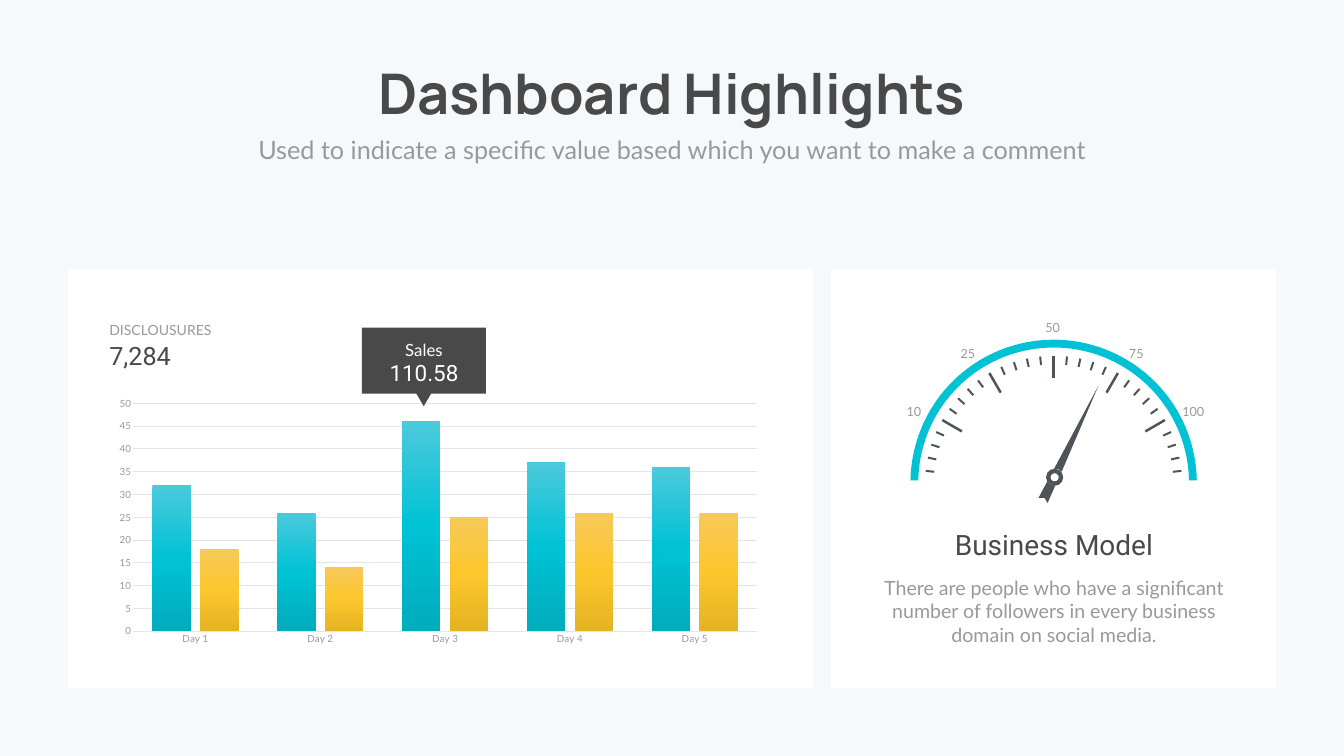
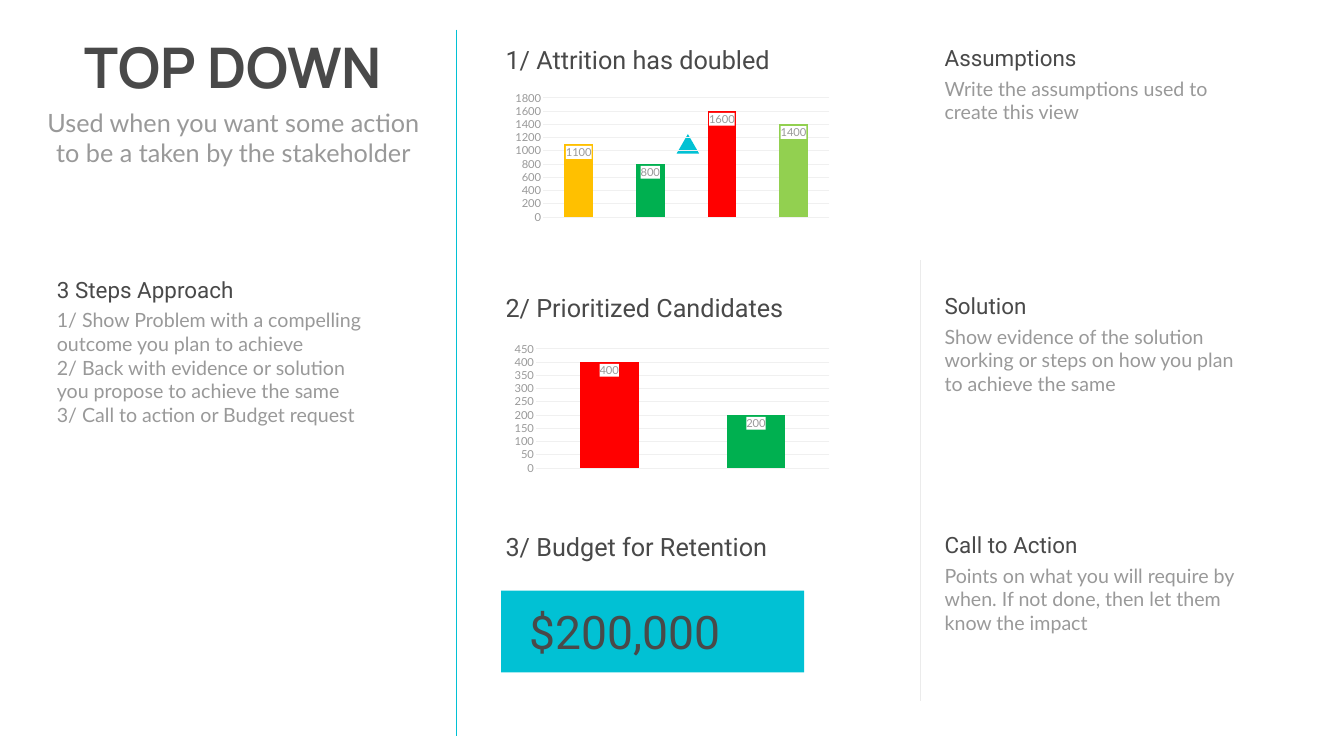
import math
from dataclasses import dataclass
from typing import Optional

import lxml.etree
import pptx
import pptx.chart.data
import pptx.dml.color
import pptx.enum.chart
import pptx.enum.shapes
import pptx.enum.text
import pptx.oxml
import pptx.oxml.ns
import pptx.util

EMU_PER_PX = 9144  # 100 px to the inch
COLORS = {
    "page": "F5F9FB", "white": "FFFFFF", "dark": "494949", "grey": "999999",
    "cyan": "01C1D4", "gauge": "4E5558", "divider": "EBEBEB",
    "axis": "E4E4E4", "grid": "F0F0F0",
    "amber": "FFC000", "green": "00B050", "red": "FF0000", "lime": "92D050",
}
CYAN_GRADIENT = ("4BCADC", "00C2D5", "00ACBD")
YELLOW_GRADIENT = ("F7C959", "FCC72D", "E5B323")

Box = tuple[int, int, int, int]
Point = tuple[float, float]
CENTER = pptx.enum.text.PP_ALIGN.CENTER
LEFT = pptx.enum.text.PP_ALIGN.LEFT
SHAPES = pptx.enum.shapes.MSO_SHAPE
CHARTS = pptx.enum.chart.XL_CHART_TYPE
qn = pptx.oxml.ns.qn


@dataclass(frozen=True)
class Style:
    font: str
    size: int
    color: str
    align: int = LEFT
    bold: bool = False
    spacing: Optional[float] = None
    wrap: bool = True


@dataclass(frozen=True)
class ColumnChart:
    box: Box
    plot: Box
    kind: int
    categories: list[str]
    series: dict[str, list[int]]
    size: int
    grid: str
    gap: int
    overlap: int
    maximum: int
    unit: int


TITLE = Style("Manrope", 80, "dark", CENTER, bold=True, wrap=False)
SUBTITLE = Style("Lato", 36, "grey", CENTER)
HEADING = Style("Roboto", 32, "dark")
BODY = Style("Lato", 28, "grey")
STEP = Style("Roboto", 36, "dark")
LABEL = Style("Lato", 20, "grey", spacing=40.8)
CALLOUT_NAME = Style("Lato", 24, "white", CENTER, spacing=40.8)
CALLOUT_VALUE = Style("Roboto", 32, "white", CENTER)
GAUGE_TITLE = Style("Roboto", 40, "dark", CENTER)
GAUGE_TEXT = Style("Lato", 28, "grey", CENTER)
GAUGE_LABEL = Style("Lato", 18, "grey", CENTER, spacing=40.8)
AMOUNT = Style("Roboto", 66, "dark", CENTER, wrap=False)


# Basic parts
def px(value: float) -> int:
    return round(value * EMU_PER_PX)


def rgb(name: str) -> pptx.dml.color.RGBColor:
    return pptx.dml.color.RGBColor.from_string(COLORS.get(name, name))


def paint(shape, color: str) -> None:
    shape.shadow.inherit = False
    shape.fill.solid()
    shape.fill.fore_color.rgb = rgb(color)
    shape.line.fill.background()


def write(shape, text: str, style: Style) -> None:
    frame = shape.text_frame
    frame.text = text
    frame.word_wrap = style.wrap
    frame.auto_size = pptx.enum.text.MSO_AUTO_SIZE.SHAPE_TO_FIT_TEXT
    frame.vertical_anchor = pptx.enum.text.MSO_ANCHOR.TOP
    for paragraph in frame.paragraphs:
        paragraph.alignment = style.align
        if style.spacing:
            paragraph.line_spacing = pptx.util.Pt(style.spacing)
        for run in paragraph.runs:
            run.font.name = style.font
            run.font.size = pptx.util.Pt(style.size)
            run.font.bold = style.bold
            run.font.color.rgb = rgb(style.color)


def add_text(slide, box: Box, text: str, style: Style) -> None:
    write(slide.shapes.add_textbox(*map(px, box)), text, style)


def add_shape(slide, kind: int, box: Box, color: str, rotation: int = 0) -> None:
    shape = slide.shapes.add_shape(kind, *map(px, box))
    shape.rotation = rotation
    paint(shape, color)
    if kind == SHAPES.DONUT:
        shape.adjustments[0] = 0.26


def add_polygon(slide, points: list[Point], color: str) -> None:
    scaled = [(px(x), px(y)) for x, y in points]
    builder = slide.shapes.build_freeform(*scaled[0], scale=1.0)
    builder.add_line_segments(scaled[1:], close=True)
    paint(builder.convert_to_shape(), color)


def add_divider(slide, x: int, top: int, bottom: int, color: str, width: float) -> None:
    line = slide.shapes.add_connector(
        pptx.enum.shapes.MSO_CONNECTOR.STRAIGHT, px(x), px(top), px(x), px(bottom))
    line.line.color.rgb = rgb(color)
    line.line.width = pptx.util.Pt(width)
    lxml.etree.SubElement(line._element.spPr, qn("a:effectLst"))


def add_titled_slide(presentation, title: str, title_box: Box, subtitle: str, subtitle_box: Box):
    slide = presentation.slides.add_slide(presentation.slide_layouts[5])
    shape = slide.shapes.title
    shape.left, shape.top, shape.width, shape.height = map(px, title_box)
    write(shape, title, TITLE)
    add_text(slide, subtitle_box, subtitle, SUBTITLE)
    return slide


# Charts
def place_plot(chart, box: Box, plot: Box) -> None:
    area = chart.element.find(".//" + qn("c:plotArea"))
    for layout in area.findall(qn("c:layout")):
        area.remove(layout)
    fractions = {"x": (plot[0] - box[0]) / box[2], "y": (plot[1] - box[1]) / box[3],
                 "w": plot[2] / box[2], "h": plot[3] / box[3]}
    layout = lxml.etree.Element(qn("c:layout"))
    manual = lxml.etree.SubElement(layout, qn("c:manualLayout"))
    settings = {"layoutTarget": "inner", "xMode": "edge", "yMode": "edge", **fractions}
    for name, value in settings.items():
        text = value if isinstance(value, str) else f"{value:.4f}"
        lxml.etree.SubElement(manual, qn("c:" + name)).set("val", text)
    area.insert(0, layout)


def add_chart(slide, spec_: ColumnChart):
    data = pptx.chart.data.CategoryChartData()
    data.categories = spec_.categories
    for name, values in spec_.series.items():
        data.add_series(name, values)
    chart = slide.shapes.add_chart(spec_.kind, *map(px, spec_.box), data).chart
    chart.has_title = False
    chart.has_legend = False
    chart.font.name = "Lato"
    chart.font.size = pptx.util.Pt(spec_.size)
    chart.font.color.rgb = rgb("grey")
    place_plot(chart, spec_.box, spec_.plot)

    plot = chart.plots[0]
    plot.vary_by_categories = False
    plot.gap_width, plot.overlap = spec_.gap, spec_.overlap
    for axis in (chart.category_axis, chart.value_axis):
        axis.major_tick_mark = axis.minor_tick_mark = pptx.enum.chart.XL_TICK_MARK.NONE
    value_axis = chart.value_axis
    value_axis.minimum_scale, value_axis.maximum_scale = 0, spec_.maximum
    value_axis.major_unit = spec_.unit
    value_axis.format.line.fill.background()
    value_axis.has_major_gridlines = True
    for line in (value_axis.major_gridlines.format.line, chart.category_axis.format.line):
        line.color.rgb = rgb(spec_.grid)
        line.width = pptx.util.Pt(0.75)
    return chart


def fill_gradient(series, stops: tuple[str, ...]) -> None:
    series.format.fill.gradient()
    series.format.fill.gradient_angle = 270
    stop_list = series._element.find(".//" + qn("a:gsLst"))
    for stop in list(stop_list):
        stop_list.remove(stop)
    for index, color in enumerate(stops):
        stop = lxml.etree.SubElement(stop_list, qn("a:gs"), pos=str(index * 50000))
        lxml.etree.SubElement(stop, qn("a:srgbClr"), val=color)


def add_stacked_chart(slide, top: int, plot_left: int, values: list[int],
                      colors: list[str], maximum: int, unit: int) -> None:
    categories = [str(index + 1) for index in range(len(values))]
    chart = add_chart(slide, ColumnChart(
        (1008, top, 649, 309), (plot_left, top + 7, 1645 - plot_left, 241),
        CHARTS.COLUMN_STACKED, categories, {"Finance": values},
        16, "grid", 150, 100, maximum, unit))
    chart.category_axis.visible = False
    series = chart.plots[0].series[0]
    series.format.fill.solid()
    series.format.fill.fore_color.rgb = rgb("cyan")
    for index, color in enumerate(colors):
        fill = series.points[index].format.fill
        fill.solid()
        fill.fore_color.rgb = rgb(color)
    labels = series.data_labels
    labels.show_value = True
    labels.position = pptx.enum.chart.XL_LABEL_POSITION.INSIDE_END
    labels.font.name = "Lato"
    labels.font.size = pptx.util.Pt(16)
    labels.font.color.rgb = rgb("grey")
    # White plate behind each value
    plate = lxml.etree.Element(qn("c:spPr"))
    solid = lxml.etree.SubElement(plate, qn("a:solidFill"))
    lxml.etree.SubElement(solid, qn("a:srgbClr"), val=COLORS["white"])
    labels._element.find(qn("c:txPr")).addprevious(plate)


# Gauge
def polar(center: Point, radius: float, degrees: float, offset: float = 0) -> Point:
    """Point at an angle from vertical, shifted sideways by offset."""
    sine, cosine = math.sin(math.radians(degrees)), math.cos(math.radians(degrees))
    return (center[0] + radius * sine + offset * cosine,
            center[1] - radius * cosine + offset * sine)


def add_gauge(slide) -> None:
    arc_center, tick_center = (2090, 958), (2090, 961)
    sweep = range(-89, 90, 2)
    outer = [polar(arc_center, 284, angle) for angle in sweep]
    inner = [polar(arc_center, 268.5, angle) for angle in reversed(sweep)]
    add_polygon(slide, outer + inner, "cyan")
    for angle in range(-84, 85, 6):
        major = angle % 30 == 0
        start, half = (210, 2.5) if major else (238, 2)
        corners = [(start, -half), (255, -half), (255, half), (start, half)]
        add_polygon(slide, [polar(tick_center, radius, angle, side)
                            for radius, side in corners], "gauge")
    add_shape(slide, SHAPES.DONUT, (2075, 930, 34, 34), "gauge")
    needle = [(2106, 936), (2179, 765), (2091, 930), (2100, 931)]
    tail = [(2077, 956), (2060, 988), (2072, 988), (2078, 998), (2093, 964), (2084, 962)]
    for outline in (needle, tail):
        add_polygon(slide, outline, "gauge")
    for text, left, top in (("10", 1778, 770), ("100", 2332, 770), ("75", 2219, 654),
                            ("25", 1885, 654), ("50", 2053, 604)):
        add_text(slide, (left, top, 70, 59), text, GAUGE_LABEL)


# Slides
def build_dashboard(presentation) -> None:
    slide = add_titled_slide(
        presentation, "Dashboard Highlights", (680, 112, 1305, 145),
        "Used to indicate a specific value based which you want to make a comment",
        (292, 261, 2082, 71))
    slide.background.fill.solid()
    slide.background.fill.fore_color.rgb = rgb("page")
    for left, width in ((1648, 883), (135, 1477)):
        add_shape(slide, SHAPES.RECTANGLE, (left, 533, width, 833), "white")

    chart = add_chart(slide, ColumnChart(
        (212, 778, 1317, 513), (264, 800, 1238, 452), CHARTS.COLUMN_CLUSTERED,
        [f"Day {day}" for day in range(1, 6)],
        {"Series 1": [32, 26, 46, 37, 36], "Series 2": [18, 14, 25, 26, 26]},
        14, "axis", 100, -24, 50, 5))
    for series, stops in zip(chart.plots[0].series, (CYAN_GRADIENT, YELLOW_GRADIENT)):
        fill_gradient(series, stops)
    add_text(slide, (207, 671, 204, 71), "7,284", STEP)
    add_text(slide, (207, 609, 360, 59), "DISCLOUSURES", LABEL)

    add_shape(slide, SHAPES.RECTANGLE, (718, 650, 246, 131), "dark")
    add_shape(slide, SHAPES.ISOSCELES_TRIANGLE, (816, 764, 49, 42), "dark", rotation=180)
    add_text(slide, (750, 653, 182, 60), "Sales", CALLOUT_NAME)
    add_text(slide, (750, 708, 182, 64), "110.58", CALLOUT_VALUE)

    add_text(slide, (1727, 1137, 727, 151),
             "There are people who have a significant number of followers in every "
             "business domain on social media.", GAUGE_TEXT)
    add_text(slide, (1727, 1042, 727, 77), "Business Model", GAUGE_TITLE)
    add_gauge(slide)


def build_top_down(presentation) -> None:
    slide = add_titled_slide(
        presentation, "TOP DOWN", (143, 59, 640, 145),
        "Used when you want some action to be a taken by the stakeholder",
        (75, 208, 776, 131))
    add_divider(slide, 1826, 516, 1390, "divider", 2)
    add_divider(slide, 905, 59, 1461, "cyan", 0.5)

    notes = [
        (1864, 83, 104, "Assumptions", "Write the assumptions used to create this view"),
        (1864, 575, 151, "Solution", "Show evidence of the solution working or steps "
         "on how you plan to achieve the same"),
        (1864, 1049, 151, "Call to Action", "Points on what you will require by when. "
         "If not done, then let them know the impact"),
        (103, 543, 246, "3 Steps Approach",
         "1/ Show Problem with a compelling outcome you plan to achieve\n"
         "2/ Back with evidence or solution you propose to achieve the same\n"
         "3/ Call to action or Budget request"),
    ]
    for left, top, height, heading, body in notes:
        add_text(slide, (left, top, 499, 64), heading, HEADING)
        add_text(slide, (left, top + 64, 624, height), body, BODY)

    for top, text in ((83, "1/ Attrition has doubled"), (575, "2/ Prioritized Candidates"),
                      (1049, "3/ Budget for Retention")):
        add_text(slide, (993, top, 602, 71), text, STEP)
    add_shape(slide, SHAPES.ISOSCELES_TRIANGLE, (1342, 266, 45, 39), "cyan")
    add_stacked_chart(slide, 181, 1077, [1100, 800, 1600, 1400],
                      ["amber", "green", "red", "lime"], 1800, 200)
    add_stacked_chart(slide, 679, 1063, [400, 200], ["red", "green"], 450, 50)
    add_shape(slide, SHAPES.RECTANGLE, (994, 1172, 601, 162), "cyan")
    add_text(slide, (1038, 1192, 402, 121), "$200,000", AMOUNT)


def main() -> None:
    presentation = pptx.Presentation()
    presentation.slide_width, presentation.slide_height = px(2666), px(1500)
    build_dashboard(presentation)
    build_top_down(presentation)
    presentation.save("out.pptx")


if __name__ == "__main__":
    main()
